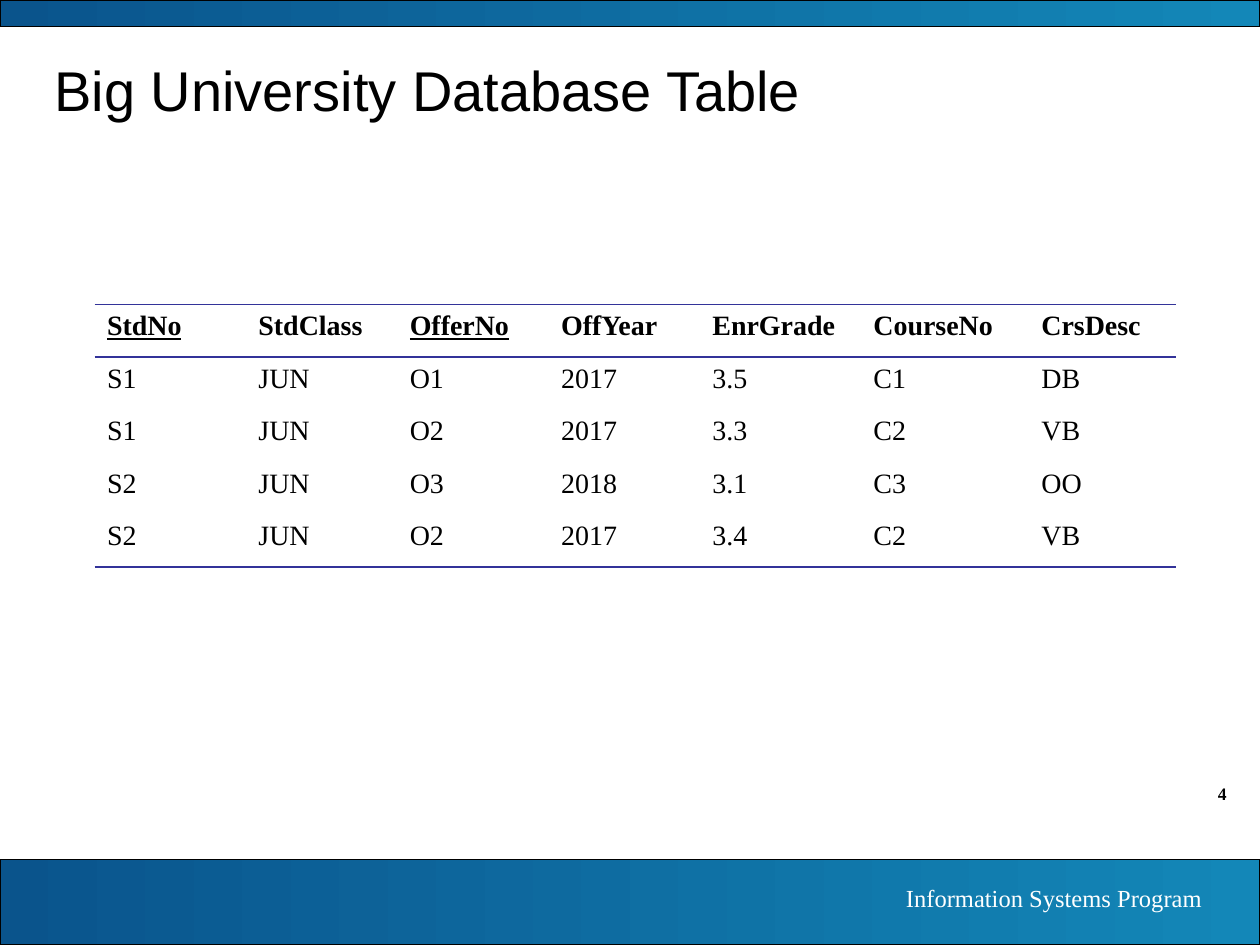
from lxml.etree import SubElement
from pptx import Presentation
from pptx.dml.color import RGBColor
from pptx.enum.shapes import MSO_SHAPE
from pptx.enum.text import MSO_ANCHOR as ANCHOR, PP_ALIGN as ALIGN
from pptx.oxml.ns import qn
from pptx.util import Pt

BLACK = RGBColor(0, 0, 0)
WHITE = RGBColor(0xFF, 0xFF, 0xFF)
BAND_LEFT = RGBColor(0x0A, 0x54, 0x8C)
BAND_RIGHT = RGBColor(0x13, 0x87, 0xB8)
RULE = RGBColor(0x33, 0x33, 0x99)
SERIF = "Times New Roman"

# Content
HEADERS = ["StdNo", "StdClass", "OfferNo", "OffYear", "EnrGrade", "CourseNo", "CrsDesc"]
KEYS = {"StdNo", "OfferNo"}
ENROLLMENTS = [
    ["S1", "JUN", "O1", "2017", "3.5", "C1", "DB"],
    ["S1", "JUN", "O2", "2017", "3.3", "C2", "VB"],
    ["S2", "JUN", "O3", "2018", "3.1", "C3", "OO"],
    ["S2", "JUN", "O2", "2017", "3.4", "C2", "VB"],
]
COL_WIDTHS = [86.5, 86.5, 86.5, 86.5, 92, 96, 84]
ROW_HEIGHT = 30
SLIDE_W, SLIDE_H = 720, 540
BANDS = [(491, 49), (0, 15)]  # top, height
TEXTS = [  # text, box, alignment, anchor, font
    ("4", (648, 444, 60, 19.5), ALIGN.RIGHT, ANCHOR.TOP,
     {"name": SERIF, "size": Pt(10), "bold": True, "color": BLACK}),
    ("Information Systems Program", (399.5, 501, 294.5, 24.5), ALIGN.RIGHT, ANCHOR.TOP,
     {"name": SERIF, "size": Pt(14), "color": WHITE}),
    ("Big University Database Table", (24, 24, 660, 54), ALIGN.LEFT, ANCHOR.MIDDLE,
     {"name": "Arial", "size": Pt(32), "color": BLACK}),
]


def write(tf, text, font, align=ALIGN.LEFT):
    p = tf.paragraphs[0]
    p.alignment = align
    r = p.add_run()
    r.text = text
    for key, value in font.items():
        if key == "color":
            r.font.color.rgb = value
        else:
            setattr(r.font, key, value)


def set_borders(cell, ruled):
    tc_pr = cell._tc.get_or_add_tcPr()
    for side in "LRTB":
        ln = SubElement(tc_pr, qn(f"a:ln{side}"), w=str(Pt(1)))
        if side in ruled:
            fill = SubElement(ln, qn("a:solidFill"))
            SubElement(fill, qn("a:srgbClr"), val=str(RULE))
        else:
            SubElement(ln, qn("a:noFill"))


prs = Presentation()
prs.slide_width, prs.slide_height = Pt(SLIDE_W), Pt(SLIDE_H)
s = prs.slides.add_slide(prs.slide_layouts[6])

# Gradient bands
for top, height in BANDS:
    sp = s.shapes.add_shape(MSO_SHAPE.RECTANGLE, 0, Pt(top), Pt(SLIDE_W), Pt(height))
    sp.shadow.inherit = False
    sp.fill.gradient()
    sp.fill.gradient_angle = 0
    for stop, color in zip(sp.fill.gradient_stops, (BAND_LEFT, BAND_RIGHT)):
        stop.color.rgb = color
    sp.line.color.rgb = BLACK
    sp.line.width = Pt(0.75)

# Page number, footer and title
for text, box, align, anchor, font in TEXTS:
    tf = s.shapes.add_textbox(*map(Pt, box)).text_frame
    tf.word_wrap = True
    tf.vertical_anchor = anchor
    write(tf, text, font, align)

# Enrollment table
rows = [HEADERS] + ENROLLMENTS
table = s.shapes.add_table(len(rows), len(HEADERS), Pt(54), Pt(174),
                           Pt(sum(COL_WIDTHS)), Pt(ROW_HEIGHT * len(rows))).table
table.first_row = table.horz_banding = False
for column, width in zip(table.columns, COL_WIDTHS):
    column.width = Pt(width)
RULED_SIDES = {0: "TB", 1: "T", len(rows) - 1: "B"}
for i, values in enumerate(rows):
    table.rows[i].height = Pt(ROW_HEIGHT)
    for j, value in enumerate(values):
        cell = table.cell(i, j)
        set_borders(cell, RULED_SIDES.get(i, ""))
        cell.fill.background()
        write(cell.text_frame, value,
              {"name": SERIF, "size": Pt(16), "color": BLACK,
               "bold": i == 0, "underline": value in KEYS})

prs.save("out.pptx")
